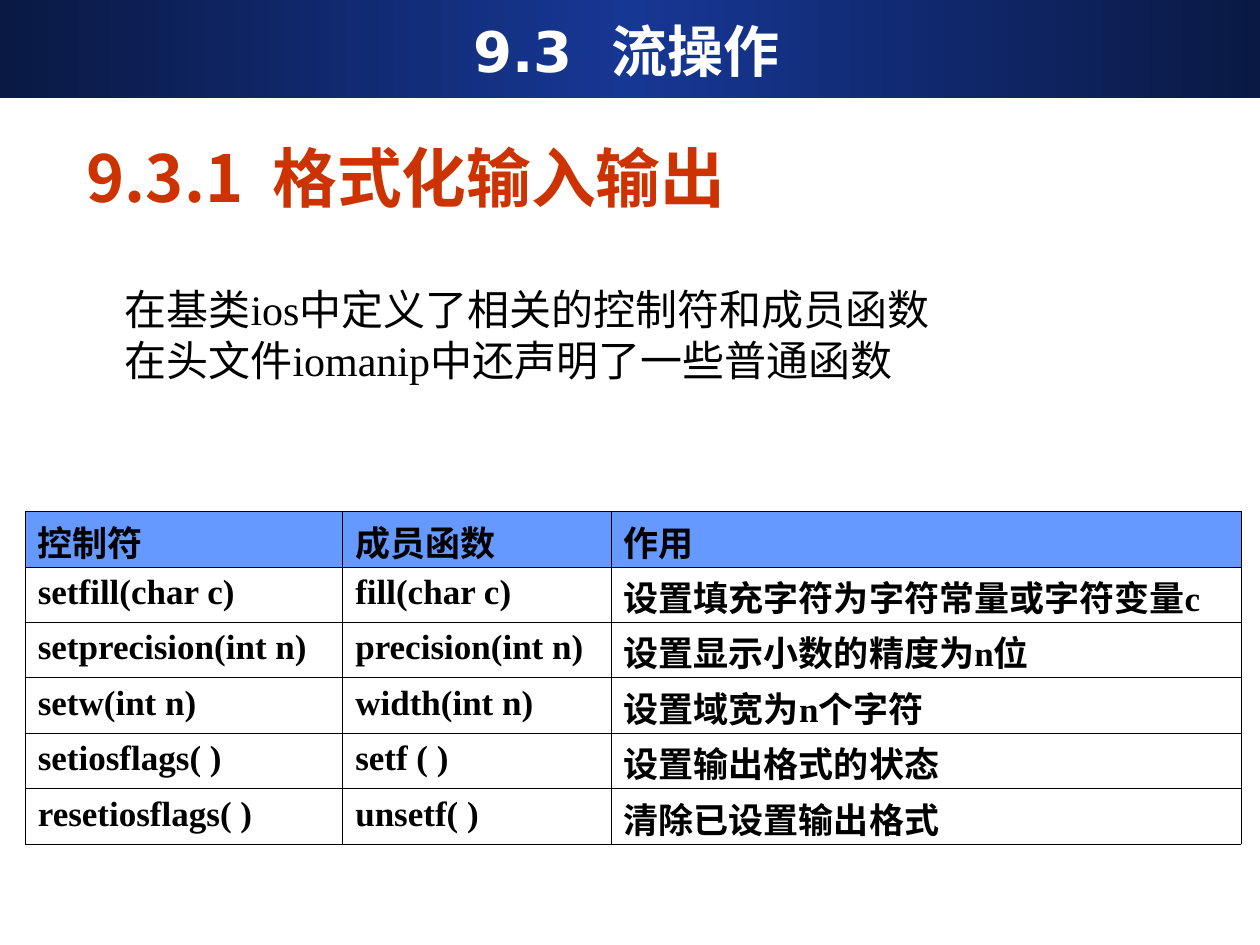
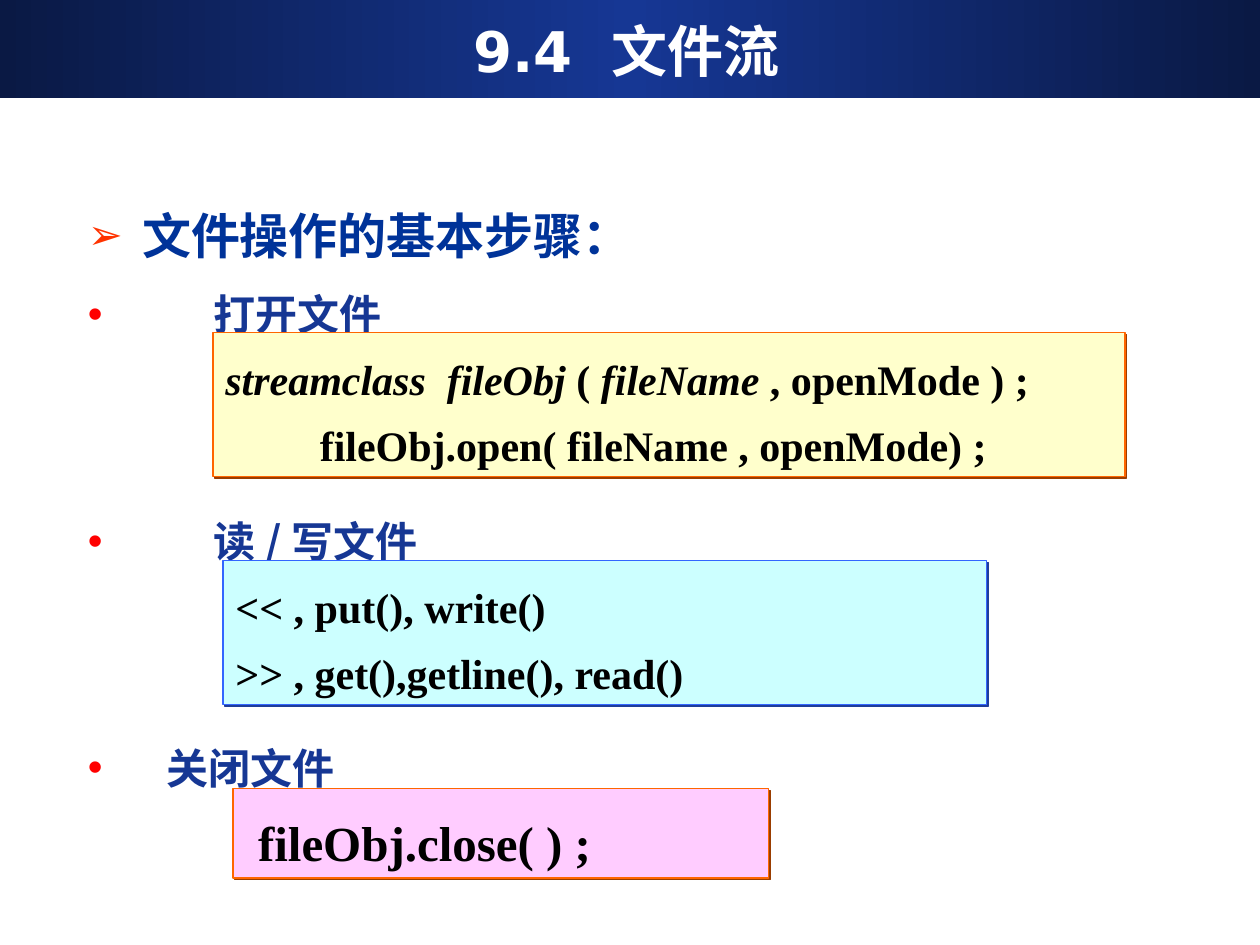
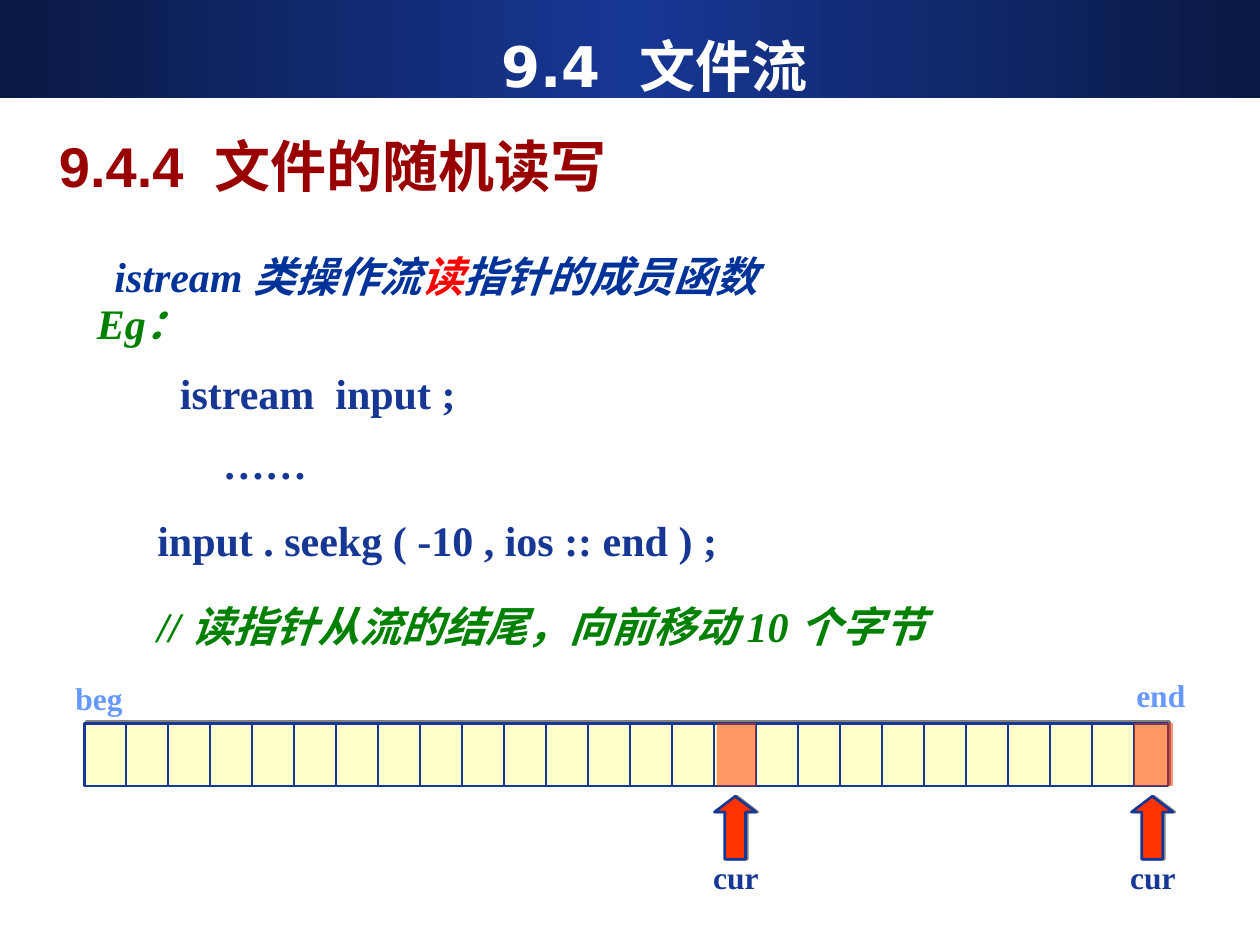
from dataclasses import dataclass

from lxml import etree
from pptx import Presentation
from pptx import util as u
from pptx.dml.color import RGBColor
from pptx.enum import shapes, text
from pptx.oxml import parse_xml
from pptx.oxml.ns import nsdecls, qn

In, Pt = u.Inches, u.Pt
Kind = shapes.MSO_SHAPE
Anchor = text.MSO_ANCHOR
Align = text.PP_ALIGN


@dataclass(frozen=True)
class Theme:
    # Colours
    navy: str = "163794"
    dark_navy: str = "0A1944"
    blue: str = "003399"
    sky: str = "6699FF"
    white: str = "FFFFFF"
    black: str = "000000"
    brick: str = "CC3300"
    maroon: str = "990000"
    red: str = "FF0000"
    scarlet: str = "FF3300"
    green: str = "008000"
    orange: str = "FF6600"
    rust: str = "993D00"
    royal: str = "3366FF"
    dark_royal: str = "1F3D99"
    cream: str = "FFFFCC"
    aqua: str = "CCFFFF"
    pink: str = "FFCCFF"
    grey: str = "808080"
    # Fonts
    serif: str = "Times New Roman"
    sans: str = "Arial"
    title_font: str = "DejaVu Sans"
    cjk: str = "Noto Sans CJK SC"
    # Type sizes
    title: int = 32
    section: int = 37
    step: int = 28
    body: int = 24
    cell: int = 20
    label: int = 18


T = Theme()


def rgb(value):
    return RGBColor.from_string(value)


def write(paragraph, words, size=T.body, font=T.serif, color=T.black,
          bold=True, italic=False):
    """Add one formatted run to a paragraph."""
    run = paragraph.add_run()
    run.text = words
    run.font.size, run.font.name = Pt(size), font
    run.font.bold, run.font.italic = bold, italic
    run.font.color.rgb = rgb(color)
    etree.SubElement(run._r.get_or_add_rPr(), qn("a:ea"), typeface=T.cjk)


def arrange(paragraph, align=Align.LEFT, spacing=None, before=0, indent=0,
            bullet=None, tab=None):
    """Set a paragraph's layout; bullet is (character, colour, percent)."""
    paragraph.alignment = align
    paragraph.space_before = Pt(before)
    if spacing:
        paragraph.line_spacing = spacing
    props = paragraph._p.get_or_add_pPr()
    props.set("marL", str(In(indent)))
    props.set("indent", str(In(-indent if bullet else 0)))
    if bullet:
        mark, color, percent = bullet
        tint = etree.SubElement(props, qn("a:buClr"))
        etree.SubElement(tint, qn("a:srgbClr"), val=color)
        etree.SubElement(props, qn("a:buSzPct"), val=str(percent * 1000))
        etree.SubElement(props, qn("a:buFont"), typeface=T.sans)
        etree.SubElement(props, qn("a:buChar"), char=mark)
    if tab:
        tabs = etree.SubElement(props, qn("a:tabLst"))
        etree.SubElement(tabs, qn("a:tab"), pos=str(In(tab)), algn="l")


class Deck:
    def __init__(self):
        self.prs = Presentation()
        self.prs.slide_width, self.prs.slide_height = In(10), In(7.5)
        self.slide = None

    def new_slide(self, title, left=0.35, top=0.09):
        self.slide = self.prs.slides.add_slide(self.prs.slide_layouts[6])
        band = self.box((0, 0, 10, 0.78), T.navy)
        stops = "".join(
            f'<a:gs pos="{pos}"><a:srgbClr val="{color}"/></a:gs>'
            for pos, color in ((0, T.dark_navy), (50000, T.navy), (100000, T.dark_navy)))
        solid = band._element.spPr.find(qn("a:solidFill"))
        solid.getparent().replace(solid, parse_xml(
            f'<a:gradFill {nsdecls("a")} rotWithShape="1"><a:gsLst>{stops}</a:gsLst>'
            '<a:lin ang="0" scaled="1"/></a:gradFill>'))
        self.line_of_text((left, top, 9.25, 0.62), title, align=Align.CENTER,
                          size=T.title, font=T.title_font, color=T.white)

    def fill_frame(self, frame, paragraphs, anchor=Anchor.TOP):
        """Each paragraph is (layout options, [(words, format options), ...])."""
        frame.word_wrap = True
        frame.vertical_anchor = anchor
        for i, (layout, runs) in enumerate(paragraphs):
            paragraph = frame.add_paragraph() if i else frame.paragraphs[0]
            arrange(paragraph, **layout)
            for words, style in runs:
                write(paragraph, words, **style)

    def text(self, at, paragraphs, anchor=Anchor.TOP):
        area = self.slide.shapes.add_textbox(*map(In, at))
        self.fill_frame(area.text_frame, paragraphs, anchor)

    def line_of_text(self, at, words, align=Align.LEFT, spacing=None,
                     anchor=Anchor.MIDDLE, **style):
        self.text(at, [(dict(align=align, spacing=spacing), [(words, style)])], anchor)

    def box(self, at, fill, line=None, weight=0.75, kind=Kind.RECTANGLE,
            shadow=None, alpha=None):
        """shadow is (colour, distance in points, angle in degrees)."""
        shape = self.slide.shapes.add_shape(kind, *map(In, at))
        shape.shadow.inherit = False
        shape.fill.solid()
        shape.fill.fore_color.rgb = rgb(fill)
        if line:
            shape.line.color.rgb = rgb(line)
            shape.line.width = Pt(weight)
        else:
            shape.line.fill.background()
        props = shape._element.spPr
        if alpha:
            tint = props.find(qn("a:solidFill")).find(qn("a:srgbClr"))
            etree.SubElement(tint, qn("a:alpha"), val=str(alpha * 1000))
        if shadow:
            color, distance, angle = shadow
            outer = etree.SubElement(
                props.find(qn("a:effectLst")), qn("a:outerShdw"), blurRad="0",
                dist=str(Pt(distance)), dir=str(angle * 60000), algn="ctr", rotWithShape="0")
            etree.SubElement(outer, qn("a:srgbClr"), val=color)
        return shape

    def code(self, at, paragraphs, fill, line, shade):
        panel = self.box(at, fill, line, shadow=(shade, 1.4, 45))
        self.fill_frame(panel.text_frame, paragraphs)

    def rule(self, x, top, bottom):
        line = self.slide.shapes.add_connector(
            shapes.MSO_CONNECTOR.STRAIGHT, In(x), In(top), In(x), In(bottom))
        line.line.color.rgb = rgb(T.navy)
        line.line.width = Pt(1.5)
        etree.SubElement(line._element.spPr, qn("a:effectLst"))

    def table(self, left, top, widths, row_height, rows):
        grid = self.slide.shapes.add_table(
            len(rows), len(widths), In(left), In(top),
            In(sum(widths)), In(row_height * len(rows))).table
        for column, width in zip(grid.columns, widths):
            column.width = In(width)
        for r, row in enumerate(rows):
            grid.rows[r].height = In(row_height)
            for c, words in enumerate(row):
                self.cell(grid.cell(r, c), words, header=r == 0,
                          chinese=r == 0 or c == len(row) - 1)

    def cell(self, cell, words, header, chinese):
        # Chinese lines are taller, so they get a fixed pitch that fits the row
        cell.margin_top, cell.margin_bottom = In(0.1 if chinese else 0.05), 0
        paragraph = cell.text_frame.paragraphs[0]
        arrange(paragraph, spacing=Pt(24) if chinese else None)
        write(paragraph, words, size=T.cell)
        props = cell._tc.get_or_add_tcPr()
        for side in ("lnL", "lnR", "lnT", "lnB"):
            props.append(parse_xml(
                f'<a:{side} {nsdecls("a")} w="{Pt(0.45)}"><a:solidFill>'
                f'<a:srgbClr val="{T.black}"/></a:solidFill></a:{side}>'))
        if header:
            cell.fill.solid()
            cell.fill.fore_color.rgb = rgb(T.sky)
        else:
            cell.fill.background()


def formatting_slide(deck):
    deck.new_slide("9.3  流操作")
    deck.line_of_text((0.59, 1.08, 8.75, 0.64), "9.3.1  格式化输入输出",
                      size=T.section, font=T.cjk, color=T.brick)
    plain = dict(bold=False)
    pitch = dict(spacing=Pt(29))
    deck.text((0.89, 2.2, 7.5, 0.9), [
        (pitch, [("在基类ios中定义了相关的控制符和成员函数", plain)]),
        (pitch, [("在头文件iomanip中还声明了一些普通函数", plain)]),
    ])
    deck.table(0.2, 4.06, (2.52, 2.13, 5), 0.44, [
        ("控制符", "成员函数", "作用"),
        ("setfill(char c)", "fill(char c)", "设置填充字符为字符常量或字符变量c"),
        ("setprecision(int n)", "precision(int n)", "设置显示小数的精度为n位"),
        ("setw(int n)", "width(int n)", "设置域宽为n个字符"),
        ("setiosflags( )", "setf ( )", "设置输出格式的状态"),
        ("resetiosflags( )", "unsetf( )", "清除已设置输出格式"),
    ])


def file_steps_slide(deck):
    deck.new_slide("9.4  文件流")

    # Steps, spaced to leave room for the code panels
    heading = dict(size=T.step, font=T.cjk, color=T.blue)
    step = dict(font=T.cjk, color=T.navy)
    dot = ("•", T.red, 100)
    steps = [(dict(indent=0.43, bullet=("➢", T.scarlet, 85), spacing=Pt(43)),
              [("文件操作的基本步骤：", heading)])]
    for words, indent, before in (("打开文件", 1, 0), ("读 / 写文件", 1, 86.5),
                                  ("关闭文件", 0.62, 86.5)):
        steps.append((dict(indent=indent, before=before, bullet=dot, spacing=Pt(43)),
                      [(words, step)]))
    deck.text((0.6, 1.45, 5, 4.9), steps)

    # Code panels
    loose = dict(spacing=1.3)
    slanted = dict(italic=True)
    deck.code((1.69, 2.64, 7.24, 1.14), [
        (loose, [("streamclass  fileObj", slanted), (" ( ", {}),
                 ("fileName", slanted), (" , openMode ) ;", {})]),
        (dict(loose, indent=0.75), [("fileObj.open( fileName , openMode) ;", {})]),
    ], T.cream, T.orange, T.rust)
    deck.code((1.77, 4.45, 6.06, 1.14), [
        (dict(loose, tab=2.66), [("<< , put(),\twrite()", {})]),
        (loose, [(">> , get(),getline(), read()", {})]),
    ], T.aqua, T.royal, T.dark_royal)
    deck.code((1.85, 6.26, 4.25, 0.71), [
        (dict(loose, indent=0.1), [("fileObj.close( ) ;", dict(size=T.step))]),
    ], T.pink, T.orange, T.rust)


def random_access_slide(deck):
    deck.new_slide("9.4  文件流", left=0.57, top=0.21)
    deck.line_of_text((0.37, 0.99, 6, 0.64), "9.4.4  文件的随机读写",
                      size=T.title, font=T.sans, color=T.maroon)

    # Explanation and example
    navy = dict(color=T.navy)
    slanted_blue = dict(color=T.blue, italic=True)
    slanted_green = dict(color=T.green, italic=True)
    pitch = dict(spacing=Pt(40))
    deck.text((0.81, 1.78, 6.5, 0.66), [
        (pitch, [("istream 类操作流", slanted_blue),
                 ("读", dict(color=T.red, italic=True)),
                 ("指针的成员函数", slanted_blue)])])
    deck.text((0.67, 2.16, 4, 1.78), [
        (pitch, [("Eg：", slanted_green)]),
        (dict(pitch, indent=0.66), [("istream  input ;", navy)]),
        (dict(pitch, indent=1), [("……", navy)]),
    ])
    deck.text((1.15, 3.77, 7.5, 1.45), [
        (dict(spacing=Pt(48)), [("input . seekg ( -10 , ios :: end ) ;", navy)]),
        (dict(spacing=Pt(49)), [("// 读指针从流的结尾，向前移动 10 个字节", slanted_green)]),
    ])

    # Byte strip, three bytes to the inch
    top, height = 5.74, 0.5
    deck.box((0.67, top, 8.6, height), T.cream, T.navy, 1.5, shadow=(T.grey, 1.4, 315))
    for byte in range(25):
        deck.rule(1 + byte / 3, top, top + height)
    for words, left, label_top in (("beg", 0.5, 5.34), ("end", 8.92, 5.32)):
        deck.line_of_text((left, label_top, 0.67, 0.4), words, anchor=Anchor.TOP,
                          size=T.label, color=T.sky)

    # Read pointer before and after the move
    for left, marked in ((8.98, 9), (5.67, 5.69)):
        arrow = deck.box((left, 6.32, 0.33, 0.5), T.scarlet, T.navy, 1.5,
                         kind=Kind.UP_ARROW, shadow=(T.grey, 1, 0))
        arrow.adjustments[0], arrow.adjustments[1] = 0.5, 0.38
        deck.box((marked, top, 0.31, height), T.scarlet, alpha=50)
        deck.line_of_text((left - 0.23, 6.82, 0.8, 0.34), "cur", align=Align.CENTER,
                          spacing=0.8, anchor=Anchor.TOP, size=T.label, color=T.navy)


def main():
    deck = Deck()
    formatting_slide(deck)
    file_steps_slide(deck)
    random_access_slide(deck)
    deck.prs.save("out.pptx")


if __name__ == "__main__":
    main()
